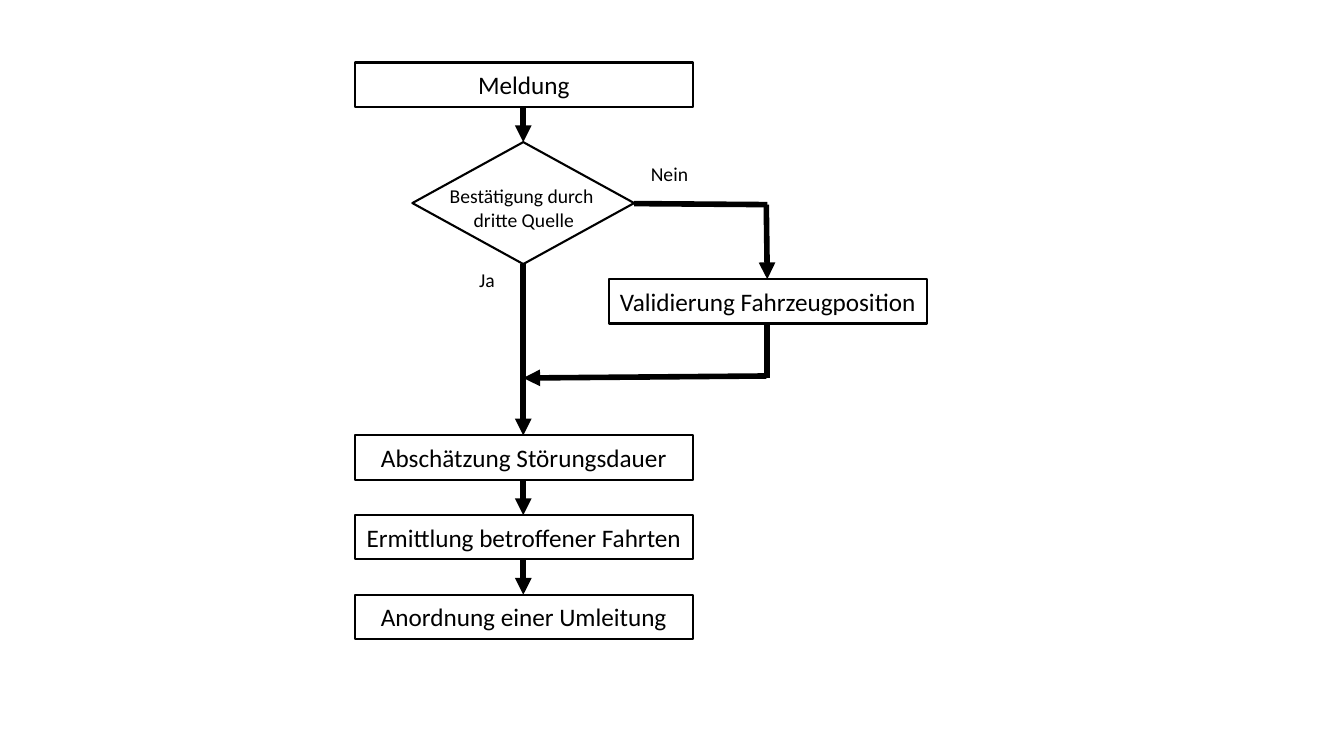
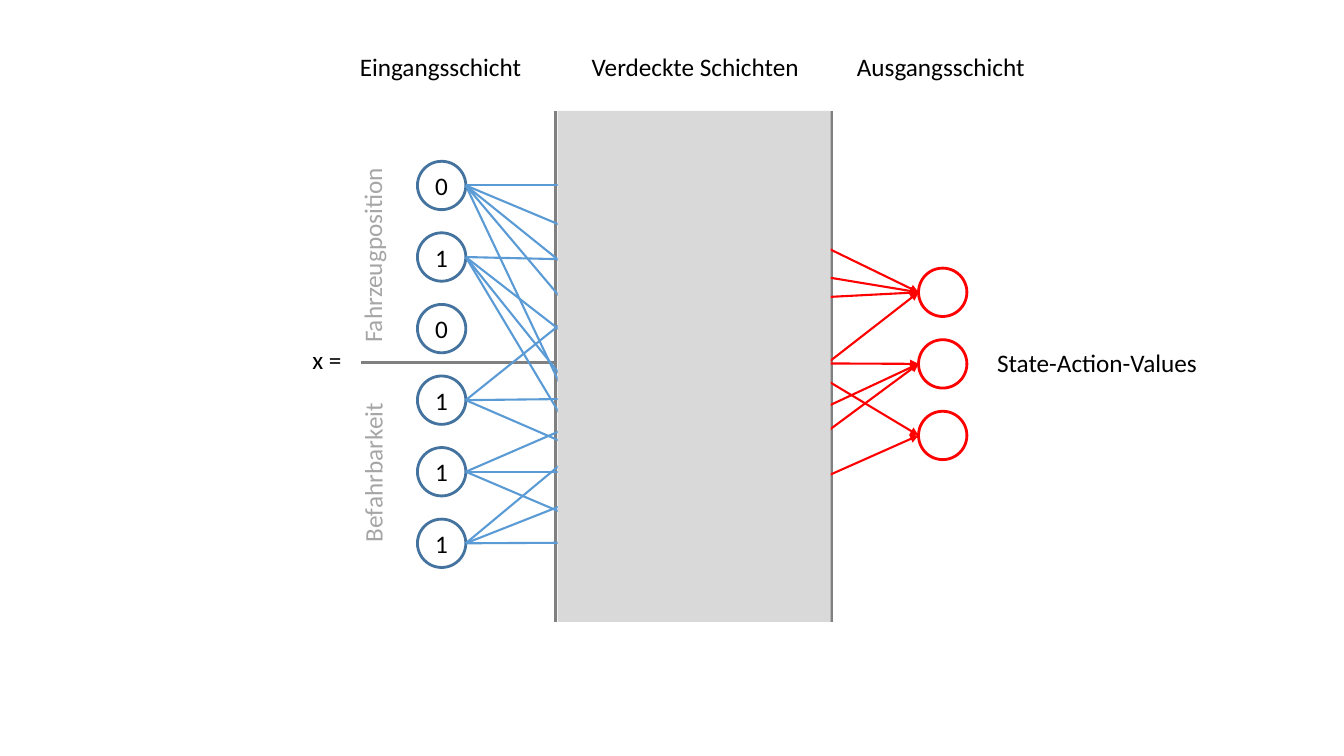
"""Build a disruption-handling flowchart and a neural network diagram."""
from typing import NamedTuple

from lxml.etree import SubElement
from pptx import Presentation
from pptx.dml.color import RGBColor
from pptx.enum.shapes import MSO_CONNECTOR, MSO_SHAPE
from pptx.enum.text import MSO_ANCHOR, MSO_AUTO_SIZE, PP_ALIGN
from pptx.oxml.ns import qn
from pptx.shapes.autoshape import Shape
from pptx.slide import Slide
from pptx.util import Inches, Pt

FONT = "Calibri"
COLORS = {
    "black": "000000",
    "input": "43739E",
    "signal": "5B9BD5",
    "output": "FF0000",
    "divider": "808080",
    "panel": "D9D9D9",
    "caption": "A6A6A6",
}


class Box(NamedTuple):
    left: float
    top: float
    width: float
    height: float


class Label(NamedTuple):
    text: str
    box: Box
    size: int = 18
    color: str = "black"
    align: PP_ALIGN = PP_ALIGN.LEFT
    rotation: int = 0


class Stroke(NamedTuple):
    color: str
    width: float


class Line(NamedTuple):
    start: tuple[float, float]
    end: tuple[float, float]
    arrow: bool = True


FLOW = Stroke("black", 4)
OUTLINE = Stroke("black", 1.5)
DIVIDER = Stroke("divider", 2)

STEP_LEFT, STEP_WIDTH, STEP_HEIGHT = 3.52, 3.35, 0.44
STEPS = {
    "Meldung": 0.62,
    "Abschätzung Störungsdauer": 4.32,
    "Ermittlung betroffener Fahrten": 5.11,
    "Anordnung einer Umleitung": 5.9,
}
DECISION = Box(4.09, 1.41, 2.2, 1.21)
VALIDATION = Box(6.04, 2.77, 3.15, STEP_HEIGHT)
FLOW_X, BRANCH_X = 5.19, 7.61
FLOW_LINES = [
    *(Line((FLOW_X, top), (FLOW_X, bottom))
      for top, bottom in [(1.07, 1.41), (2.62, 4.32), (4.76, 5.11), (5.56, 5.9)]),
    Line((7.6, 2.03), (BRANCH_X, 2.77)),
    Line((6.29, 2.02), (BRANCH_X, 2.03), arrow=False),
    Line((7.6, 3.73), (FLOW_X, 3.75)),
    Line((BRANCH_X, 3.75), (BRANCH_X, 3.22), arrow=False),
]
FLOW_LABELS = [
    Label("Bestätigung durch \vdritte Quelle", Box(4.35, 1.78, 1.69, 0.57), 14, align=PP_ALIGN.CENTER),
    Label("Ja", Box(4.65, 2.61, 0.36, 0.34), 14, align=PP_ALIGN.CENTER),
    Label("Nein", Box(6.35, 1.56, 0.58, 0.34), 14, align=PP_ALIGN.CENTER),
]

NEURON_SIZE, NEURON_PITCH = 0.48, 0.71
INPUT_LEFT, INPUT_TOP = 4.14, 1.6
OUTPUT_LEFT, OUTPUT_TOP = 9.11, 2.66
INPUT_VALUES = "010111"
INPUT_TARGETS = [
    [(6.44, 1.84), (6.41, 2.59), (6.36, 3.24), (6.41, 3.96), (6.35, 5.49)],
    [(6.37, 2.59), (6.36, 3.9), (6.37, 4.73), (6.38, 5.49)],
    [],
    [(6.35, 2.58), (6.34, 3.95), (6.35, 4.72)],
    [(6.42, 3.9), (6.31, 4.68), (6.31, 5.4)],
    [(6.35, 3.95), (6.39, 5.38), (6.32, 4.72)],
]
OUTPUT_SOURCES = [
    [(6.93, 1.84), (6.93, 2.54), (6.98, 3.01), (6.82, 4.68)],
    [(6.98, 3.6), (6.86, 4.66), (6.8, 5.32)],
    [(6.98, 3.04), (6.86, 5.32)],
]
HIDDEN_PANEL = Box(5.53, 1.1, 2.71, 5.07)
DIVIDERS = [
    Line((5.51, 1.1), (5.51, 6.17), arrow=False),
    Line((8.25, 1.1), (8.25, 6.17), arrow=False),
    Line((3.58, 3.6), (5.51, 3.6), arrow=False),
]
NETWORK_LABELS = [
    Label("Eingangsschicht", Box(3.47, 0.46, 1.82, 0.4)),
    Label("Verdeckte Schichten", Box(5.77, 0.46, 2.28, 0.4)),
    Label("Ausgangsschicht", Box(8.4, 0.46, 1.88, 0.4)),
    Label("x =", Box(3, 3.37, 0.49, 0.4)),
    Label("State-Action-Values", Box(9.79, 3.4, 2.21, 0.4)),
    Label("Fahrzeugposition", Box(2.71, 2.32, 1.96, 0.4), color="caption", rotation=270),
    Label("Befahrbarkeit", Box(2.9, 4.48, 1.59, 0.4), color="caption", rotation=270),
]


def rgb(name: str) -> RGBColor:
    return RGBColor.from_string(COLORS[name])


def write_text(shape: Shape, text: str, size: int, color: str, align: PP_ALIGN) -> None:
    frame = shape.text_frame
    frame.text = text
    for paragraph in frame.paragraphs:
        paragraph.alignment = align
        for run in paragraph.runs:
            run.font.name = FONT
            run.font.size = Pt(size)
            run.font.color.rgb = rgb(color)


def draw_shape(slide: Slide, preset: MSO_SHAPE, box: Box, stroke: Stroke | None = None,
               fill: str | None = None, text: str = "") -> None:
    shape = slide.shapes.add_shape(preset, *map(Inches, box))
    shape.shadow.inherit = False
    if fill:
        shape.fill.solid()
        shape.fill.fore_color.rgb = rgb(fill)
    else:
        shape.fill.background()
    if stroke:
        shape.line.color.rgb = rgb(stroke.color)
        shape.line.width = Pt(stroke.width)
    else:
        shape.line.fill.background()
    if text:
        shape.text_frame.word_wrap = False
        shape.text_frame.vertical_anchor = MSO_ANCHOR.MIDDLE
        write_text(shape, text, 18, "black", PP_ALIGN.CENTER)


def draw_label(slide: Slide, label: Label) -> None:
    textbox = slide.shapes.add_textbox(*map(Inches, label.box))
    textbox.rotation = label.rotation
    textbox.text_frame.word_wrap = False
    textbox.text_frame.auto_size = MSO_AUTO_SIZE.SHAPE_TO_FIT_TEXT
    write_text(textbox, label.text, label.size, label.color, label.align)


def draw_line(slide: Slide, line: Line, stroke: Stroke) -> None:
    connector = slide.shapes.add_connector(
        MSO_CONNECTOR.STRAIGHT, *map(Inches, (*line.start, *line.end)))
    connector.line.color.rgb = rgb(stroke.color)
    connector.line.width = Pt(stroke.width)
    if line.arrow:
        SubElement(connector.line._get_or_add_ln(), qn("a:tailEnd"), type="triangle")
    SubElement(connector._element.spPr, qn("a:effectLst"))


def neuron_box(left: float, first_top: float, index: int) -> Box:
    return Box(left, first_top + index * NEURON_PITCH, NEURON_SIZE, NEURON_SIZE)


def build_flowchart(slide: Slide) -> None:
    for text, top in STEPS.items():
        box = Box(STEP_LEFT, top, STEP_WIDTH, STEP_HEIGHT)
        draw_shape(slide, MSO_SHAPE.RECTANGLE, box, OUTLINE, text=text)
    draw_shape(slide, MSO_SHAPE.RECTANGLE, VALIDATION, OUTLINE, text="Validierung Fahrzeugposition")
    draw_shape(slide, MSO_SHAPE.DIAMOND, DECISION, OUTLINE)
    for line in FLOW_LINES:
        draw_line(slide, line, FLOW)
    for label in FLOW_LABELS:
        draw_label(slide, label)


def build_network(slide: Slide) -> None:
    for line in DIVIDERS:
        draw_line(slide, line, DIVIDER)
    for index, (value, targets) in enumerate(zip(INPUT_VALUES, INPUT_TARGETS)):
        box = neuron_box(INPUT_LEFT, INPUT_TOP, index)
        draw_shape(slide, MSO_SHAPE.OVAL, box, Stroke("input", 2), text=value)
        exit_point = (box.left + NEURON_SIZE, box.top + NEURON_SIZE / 2)
        for target in targets:
            draw_line(slide, Line(exit_point, target), Stroke("signal", 1.5))
    for index, sources in enumerate(OUTPUT_SOURCES):
        box = neuron_box(OUTPUT_LEFT, OUTPUT_TOP, index)
        draw_shape(slide, MSO_SHAPE.OVAL, box, Stroke("output", 2))
        entry_point = (box.left, box.top + NEURON_SIZE / 2)
        for source in sources:
            draw_line(slide, Line(source, entry_point), Stroke("output", 1.5))
    draw_shape(slide, MSO_SHAPE.RECTANGLE, HIDDEN_PANEL, fill="panel")
    for label in NETWORK_LABELS:
        draw_label(slide, label)


def main() -> None:
    presentation = Presentation()
    presentation.slide_width = Inches(13.33)
    presentation.slide_height = Inches(7.5)
    blank_layout = presentation.slide_layouts.get_by_name("Blank")
    for build in (build_flowchart, build_network):
        build(presentation.slides.add_slide(blank_layout))
    presentation.save("out.pptx")


if __name__ == "__main__":
    main()
